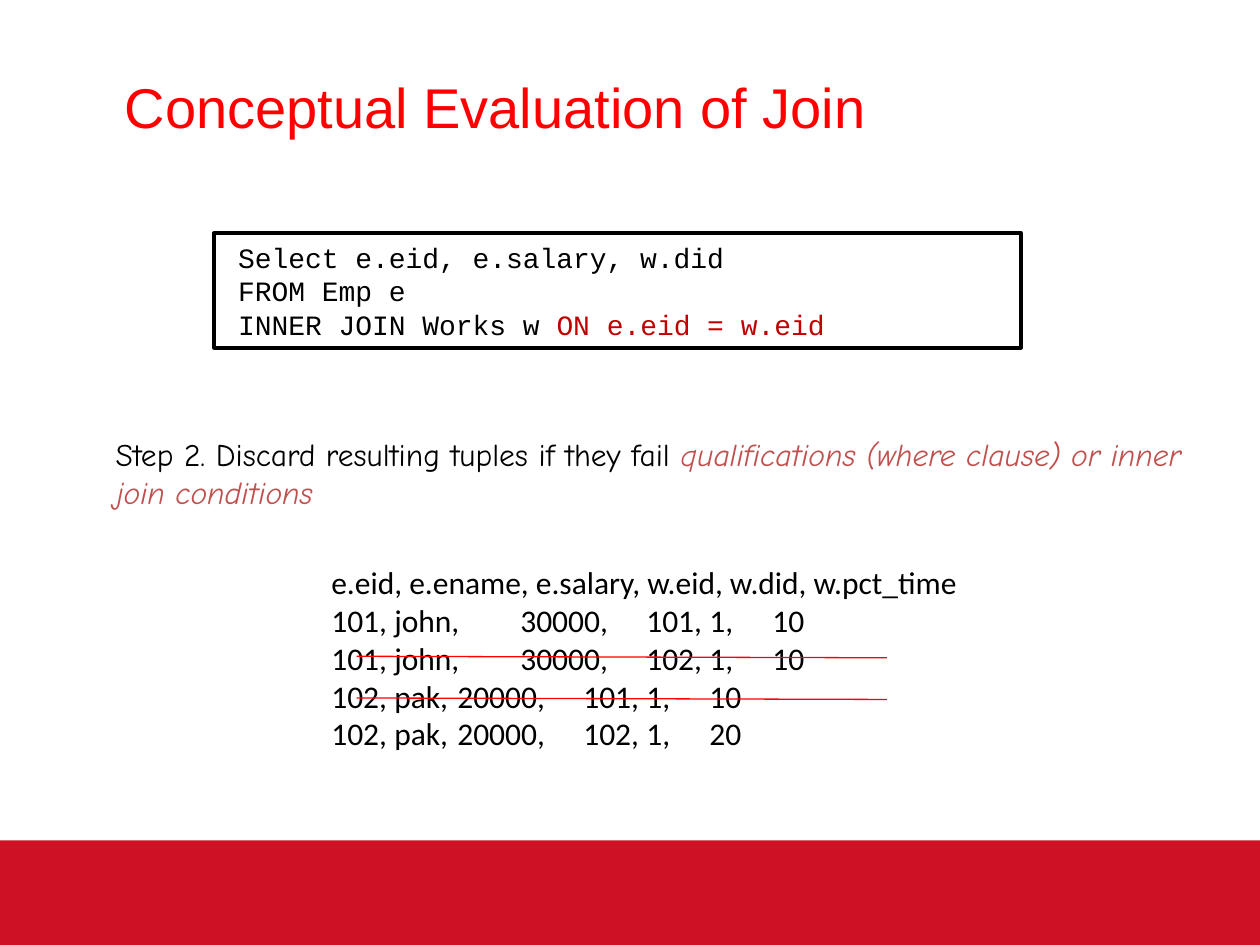
from lxml.etree import SubElement
from pptx import Presentation
from pptx.dml.color import RGBColor
from pptx.enum.shapes import MSO_CONNECTOR as Connector, MSO_SHAPE as Shape
from pptx.enum.text import MSO_ANCHOR as Anchor, PP_ALIGN as Align
from pptx.oxml.ns import qn
from pptx.util import Cm, Pt

BLACK, RED = "000000", "FF0000"


def color(hex_string):
    return RGBColor.from_string(hex_string)


class SlideBuilder:
    """Holds the text style and the slide being built."""

    code_font, step_font, row_font = "Courier New", "Comic Neue", "Calibri"

    def __init__(self, presentation):
        self.slide = presentation.slides.add_slide(presentation.slide_layouts[5])

    def fill_text(self, frame, paragraphs, font, size, indent=0, tabs=()):
        """Each paragraph is a list of (text, colour, italic) runs."""
        frame.word_wrap = True
        for index, runs in enumerate(paragraphs):
            paragraph = frame.paragraphs[0] if index == 0 else frame.add_paragraph()
            paragraph.alignment = Align.LEFT
            properties = paragraph._p.get_or_add_pPr()
            properties.set("marL", str(Cm(indent)))
            properties.set("indent", "0")
            if tabs:
                tab_list = SubElement(properties, qn("a:tabLst"))
                for position in tabs:
                    SubElement(tab_list, qn("a:tab"), pos=str(Cm(position)), algn="l")
            for text, hex_string, italic in runs:
                run = paragraph.add_run()
                run.text = text
                run.font.name, run.font.size = font, Pt(size)
                run.font.italic = italic
                run.font.color.rgb = color(hex_string)

    def title(self, text, left, top, width, height):
        title = self.slide.shapes.title
        title.left, title.top = Cm(left), Cm(top)
        title.width, title.height = Cm(width), Cm(height)
        title.text_frame.vertical_anchor = Anchor.BOTTOM
        title.text_frame.margin_bottom = Cm(0.25)
        self.fill_text(title.text_frame, [[(text, RED, False)]], "Arial", 32)

    def box(self, left, top, width, height, fill=None, line=None):
        shape = self.slide.shapes.add_shape(
            Shape.RECTANGLE, Cm(left), Cm(top), Cm(width), Cm(height))
        shape.shadow.inherit = False
        if fill:
            shape.fill.solid()
            shape.fill.fore_color.rgb = color(fill)
        else:
            shape.fill.background()
        if line:
            shape.line.color.rgb = color(line)
            shape.line.width = Pt(2.25)
        else:
            shape.line.fill.background()
        return shape

    def text(self, paragraphs, left, top, width, height, font, size, **layout):
        text_box = self.slide.shapes.add_textbox(
            Cm(left), Cm(top), Cm(width), Cm(height))
        self.fill_text(text_box.text_frame, paragraphs, font, size, **layout)

    def strike(self, left, right, top):
        line = self.slide.shapes.add_connector(
            Connector.STRAIGHT, Cm(left), Cm(top), Cm(right), Cm(top + 0.03))
        line.line.color.rgb = color(RED)
        line.line.width = Pt(0.75)
        SubElement(line._element.spPr, qn("a:effectLst"))


def main():
    presentation = Presentation()
    presentation.slide_width, presentation.slide_height = Cm(25.4), Cm(19.05)
    builder = SlideBuilder(presentation)

    # Footer band and title
    builder.box(0, 16.94, 25.4, 2.11, fill="CE1125")
    builder.title("Conceptual Evaluation of Join", 2.26, 0, 21.59, 3.07)

    # Step description
    builder.text([[
        ("Step 2. Discard resulting tuples if they fail ", BLACK, False),
        ("qualifications (where clause) or inner join conditions", "C0504D", True),
    ]], 0.81, 8.64, 23.6, 10.41, builder.step_font, 18, indent=1.27)

    # Query
    query = builder.box(4.32, 4.7, 16.26, 2.31, line=BLACK)
    query.text_frame.vertical_anchor = Anchor.MIDDLE
    builder.fill_text(query.text_frame, [
        [("Select e.eid, e.salary, w.did", BLACK, False)],
        [("FROM Emp e", BLACK, False)],
        [("INNER JOIN Works w ", BLACK, False),
         ("ON e.eid = w.eid", "C00000", False)],
    ], builder.code_font, 16, indent=0.23)

    # Joined tuples, columns aligned by tab stops
    rows = [
        "e.eid, e.ename, e.salary, w.eid, w.did, w.pct_time",
        "101,\tjohn,\t30000,\t101,\t1,\t10",
        "101,\tjohn,\t30000,\t102,\t1,\t10",
        "102,\tpak,\t20000,\t101,\t1,\t10",
        "102,\tpak,\t20000,\t102,\t1,\t20",
    ]
    builder.text([[(row, BLACK, False)] for row in rows],
                 6.43, 11.23, 14.27, 4.11, builder.row_font, 18,
                 tabs=(2.13, 4.04, 6.83, 8.8, 10))

    # Discarded tuples
    for top in (13.23, 14.07):
        builder.strike(7.19, 17.88, top)

    presentation.save("out.pptx")


if __name__ == "__main__":
    main()
